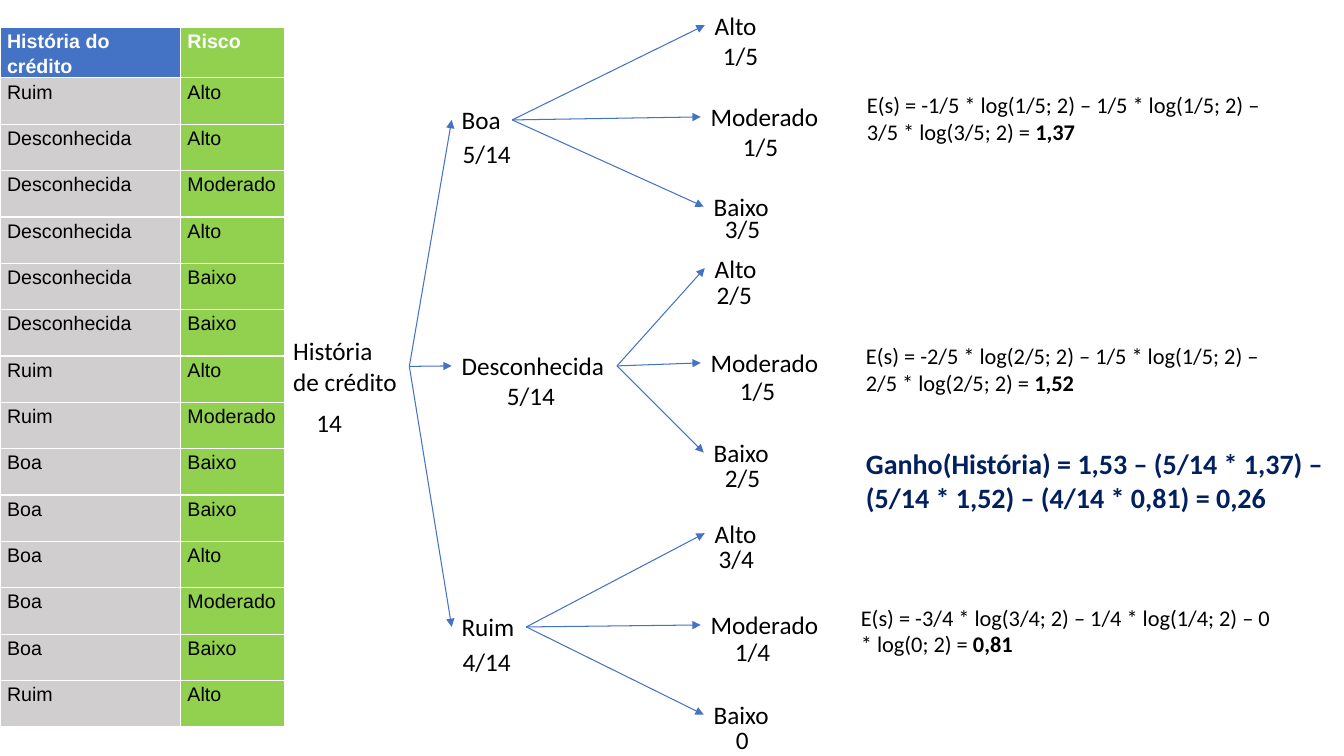
import lxml.etree
import pptx
import pptx.dml.color
import pptx.enum.shapes
import pptx.oxml.ns
import pptx.util

PX = 9144  # EMU per px, 100 px to the inch


class Theme:
    blue = "4472C4"
    green = "92D050"
    grey = "D0CECE"
    navy = "002060"
    white = "FFFFFF"
    black = "000000"
    table_font = "Arial"
    body_font = "Calibri"
    table_size = 14
    formula_size = 16
    node_size = 18
    gain_size = 20
    arrow_width = 0.75


def write(text_frame, text, size=Theme.node_size, color=Theme.black,
          font=Theme.body_font, bold=False, result="", spacing=None):
    """Fill the first paragraph; result is added as a bold ending."""
    paragraph = text_frame.paragraphs[0]
    paragraph.text = text
    paragraph.line_spacing = spacing
    if result:
        paragraph.add_run().text = result
    for run in paragraph.runs:
        run.font.name = font
        run.font.size = pptx.util.Pt(size)
        run.font.bold = bold
        run.font.color.rgb = pptx.dml.color.RGBColor.from_string(color)
    if result:
        paragraph.runs[-1].font.bold = True


def add_label(text, left, top, width, height=40, **text_format):
    box = slide.shapes.add_textbox(left * PX, top * PX, width * PX, height * PX)
    box.text_frame.word_wrap = True
    write(box.text_frame, text, **text_format)
    return box


presentation = pptx.Presentation()
presentation.slide_width = 1333 * PX
presentation.slide_height = 750 * PX
slide = presentation.slides.add_slide(presentation.slide_layouts[6])

# Credit history table
records = [
    ("História do crédito", "Risco"),
    ("Ruim", "Alto"),
    ("Desconhecida", "Alto"),
    ("Desconhecida", "Moderado"),
    ("Desconhecida", "Alto"),
    ("Desconhecida", "Baixo"),
    ("Desconhecida", "Baixo"),
    ("Ruim", "Alto"),
    ("Ruim", "Moderado"),
    ("Boa", "Baixo"),
    ("Boa", "Baixo"),
    ("Boa", "Alto"),
    ("Boa", "Moderado"),
    ("Boa", "Baixo"),
    ("Ruim", "Alto"),
]
column_widths = (179, 103)
row_height = 46
table = slide.shapes.add_table(
    len(records), 2, 0, 27 * PX, sum(column_widths) * PX,
    row_height * len(records) * PX).table
table.horz_banding = False
for column, width in zip(table.columns, column_widths):
    column.width = width * PX
for row_index, record in enumerate(records):
    is_header = row_index == 0
    history_fill = Theme.blue if is_header else Theme.grey
    for column_index, fill in enumerate((history_fill, Theme.green)):
        cell = table.cell(row_index, column_index)
        cell.margin_left = cell.margin_right = 7 * PX
        cell.margin_top = cell.margin_bottom = 0
        cell.fill.solid()
        cell.fill.fore_color.rgb = pptx.dml.color.RGBColor.from_string(fill)
        write(cell.text_frame, record[column_index], size=Theme.table_size,
              font=Theme.table_font, bold=is_header, spacing=1.15,
              color=Theme.white if is_header else Theme.black)

# Decision tree: name, top, width, count, count place, leaves (top, count, count place)
branches = [
    ("Boa", 99, 60, "5/14", (449, 132),
     [(5, "1/5", (707, 35)), (96, "1/5", (727, 125)), (185, "3/5", (709, 207))]),
    ("Desconhecida", 343, 164, "5/14", (493, 372),
     [(246, "2/5", (701, 272)), (340, "1/5", (724, 367)), (429, "2/5", (709, 454))]),
    ("Ruim", 602, 74, "4/14", (449, 636),
     [(509, "3/4", (703, 534)), (600, "1/4", (719, 626)), (689, "0", (720, 714))]),
]
risks = [("Alto", 699, 62), ("Moderado", 695, 129), ("Baixo", 698, 75)]

root = add_label("História\nde crédito", 281, 328, 125, 71)
add_label("14", 304, 399, 46)
links = []
for name, top, width, count, count_place, leaves in branches:
    branch = add_label(name, 448, top, width)
    add_label(count, *count_place, 68)
    links.append((root, branch))
    for (risk, left, risk_width), (leaf_top, share, share_place) in zip(risks, leaves):
        leaf = add_label(risk, left, leaf_top, risk_width)
        add_label(share, *share_place, 62)
        links.append((branch, leaf))

for parent, child in links:
    arrow = slide.shapes.add_connector(
        pptx.enum.shapes.MSO_CONNECTOR.STRAIGHT, 0, 0, 0, 0)
    arrow.begin_connect(parent, 3)
    arrow.end_connect(child, 1)
    arrow.line.width = pptx.util.Pt(Theme.arrow_width)
    arrow.line.color.rgb = pptx.dml.color.RGBColor.from_string(Theme.blue)
    line = arrow.line._get_or_add_ln()
    lxml.etree.SubElement(line, pptx.oxml.ns.qn("a:tailEnd"), type="triangle")
    lxml.etree.SubElement(line.getparent(), pptx.oxml.ns.qn("a:effectLst"))

# Entropy of each branch and the resulting gain
entropies = [
    (850, 86, "E(s) = -1/5 * log(1/5; 2) – 1/5 * log(1/5; 2) – 3/5 * log(3/5; 2) = ", "1,37"),
    (849, 335, "E(s) = -2/5 * log(2/5; 2) – 1/5 * log(1/5; 2) – 2/5 * log(2/5; 2) = ", "1,52"),
    (844, 594, "E(s) = -3/4 * log(3/4; 2) – 1/4 * log(1/4; 2) – 0 * log(0; 2) = ", "0,81"),
]
for left, top, formula, entropy in entropies:
    add_label(formula, left, top, 427, 64, size=Theme.formula_size, result=entropy)
add_label("Ganho(História) = 1,53 – (5/14 * 1,37) – (5/14 * 1,52) – (4/14 * 0,81) = 0,26",
          849, 438, 484, 77, size=Theme.gain_size, color=Theme.navy, bold=True)

presentation.save("out.pptx")
